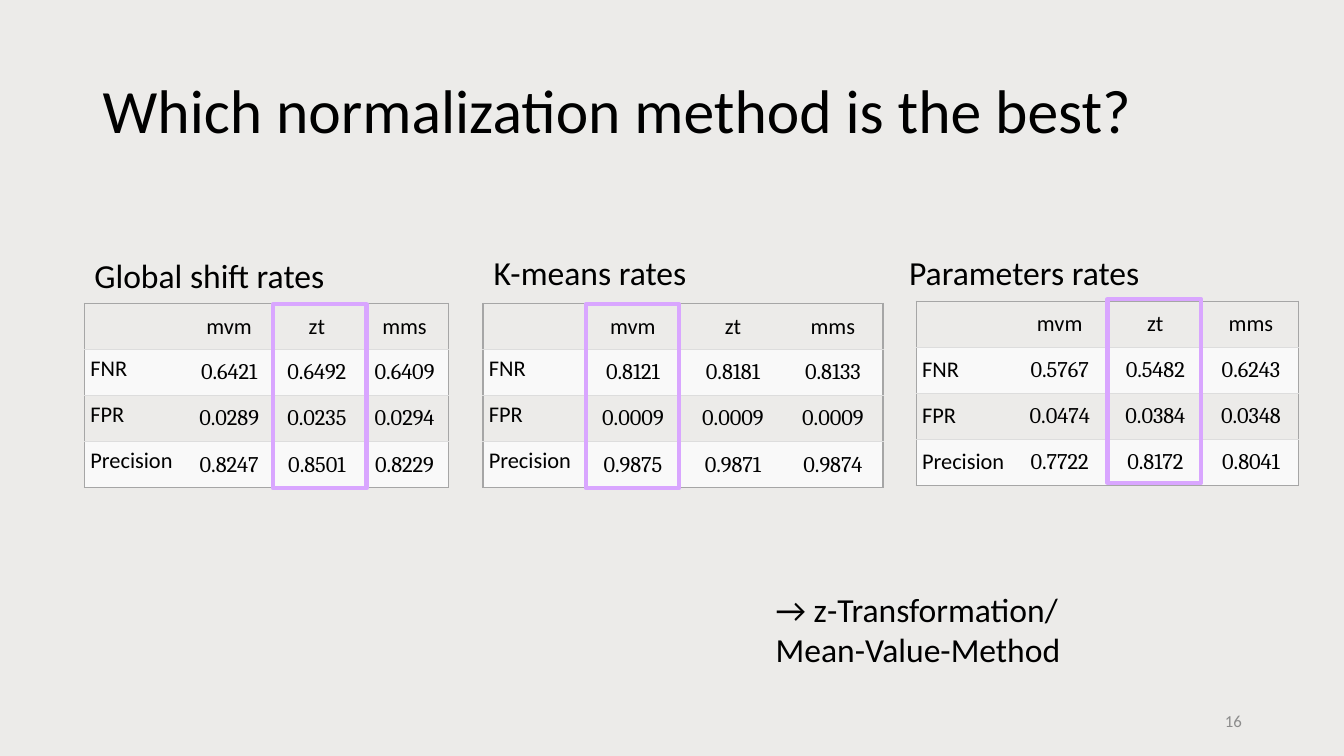
from dataclasses import dataclass

from lxml import etree
from pptx import Presentation
from pptx.dml.color import RGBColor
from pptx.enum import shapes, text
from pptx.oxml import ns
from pptx.util import Cm, Pt


@dataclass(frozen=True)
class Theme:
    background: str = "ECEBE9"
    ink: str = "000000"
    muted: str = "8C8C8C"
    band: str = "F9F9F9"
    frame: str = "A6A6A6"
    rule: str = "DDDDDD"
    accent: str = "D9A6FF"
    sans: str = "Calibri"
    serif: str = "Cambria"
    title: int = 44
    body: int = 24
    cell: int = 16
    number: int = 12


def write(tf, content, size, font, color, align=text.PP_ALIGN.LEFT,
          anchor=text.MSO_ANCHOR.TOP, spacing=None):
    tf.word_wrap = True
    tf.vertical_anchor = anchor
    p = tf.paragraphs[0]
    p.alignment = align
    p.line_spacing = spacing
    r = p.add_run()
    r.text = content
    r.font.size = Pt(size)
    r.font.name = font
    r.font.color.rgb = RGBColor.from_string(color)


class SlideBuilder:
    def __init__(self, s, theme):
        self.s = s
        self.theme = theme
        fill = s.background.fill
        fill.solid()
        fill.fore_color.rgb = RGBColor.from_string(theme.background)

    def label(self, content, x, y, w, h, size=None, color=None, **fmt):
        sp = self.s.shapes.add_textbox(Cm(x), Cm(y), Cm(w), Cm(h))
        write(sp.text_frame, content, size or self.theme.body,
              self.theme.sans, color or self.theme.ink, **fmt)

    def highlight(self, x, y, w, h):
        sp = self.s.shapes.add_shape(shapes.MSO_SHAPE.RECTANGLE,
                                     Cm(x), Cm(y), Cm(w), Cm(h))
        sp.shadow.inherit = False
        sp.fill.background()
        sp.line.color.rgb = RGBColor.from_string(self.theme.accent)
        sp.line.width = Pt(3)

    def border(self, cell, side, color, width):
        ln = etree.SubElement(cell._tc.get_or_add_tcPr(), ns.qn(f"a:ln{side}"))
        if color is None:
            etree.SubElement(ln, ns.qn("a:noFill"))
            return
        ln.set("w", str(Pt(width)))
        fill = etree.SubElement(ln, ns.qn("a:solidFill"))
        etree.SubElement(fill, ns.qn("a:srgbClr")).set("val", color)

    def borders(self, cell, row, col, last_row, last_col):
        frame, rule = (self.theme.frame, 1), (self.theme.rule, 0.5)
        none = (None, 0)
        self.border(cell, "L", *(frame if col == 0 else none))
        self.border(cell, "R", *(frame if col == last_col else none))
        self.border(cell, "T", *(frame if row == 0 else rule))
        self.border(cell, "B", *(frame if row == last_row else rule))

    def cell_text(self, cell, content, row, col, label_anchor):
        numeric = row > 0 and col > 0
        side, end = (0.18, 0) if numeric else (0.15, 0.15)
        cell.margin_left = cell.margin_right = Cm(side)
        cell.margin_top = cell.margin_bottom = Cm(end)
        cell.vertical_anchor = text.MSO_ANCHOR.MIDDLE if col else label_anchor
        if content:
            p = cell.text_frame.paragraphs[0]
            p.alignment = text.PP_ALIGN.CENTER if col else text.PP_ALIGN.LEFT
            r = p.add_run()
            r.text = content
            r.font.size = Pt(self.theme.cell)
            r.font.name = self.theme.serif if numeric else self.theme.sans
            r.font.color.rgb = RGBColor.from_string(self.theme.ink)

    def table(self, rows, x, y, widths, row_h, label_anchor):
        gf = self.s.shapes.add_table(len(rows), len(widths), Cm(x), Cm(y),
                                     Cm(sum(widths)), Cm(row_h * len(rows)))
        tbl = gf.table
        tbl.first_row = tbl.horz_banding = False
        for column, w in zip(tbl.columns, widths):
            column.width = Cm(w)
        for i, values in enumerate(rows):
            tbl.rows[i].height = Cm(row_h)
            for j, value in enumerate(values):
                cell = tbl.cell(i, j)
                self.cell_text(cell, value, i, j, label_anchor)
                self.borders(cell, i, j, len(rows) - 1, len(widths) - 1)
                if i % 2:
                    cell.fill.solid()
                    cell.fill.fore_color.rgb = RGBColor.from_string(self.theme.band)
                else:
                    cell.fill.background()


METHODS = ["", "mvm", "zt", "mms"]
METRICS = ["FNR", "FPR", "Precision"]
TOP, MIDDLE = text.MSO_ANCHOR.TOP, text.MSO_ANCHOR.MIDDLE
RATES = [
    dict(name="Global shift rates", name_at=(2.13, 6.3), at=(2.13, 7.65),
         widths=[2.54] + [2.21] * 3, best_at=(6.88, 7.67), anchor=TOP,
         values=["0.6421 0.6492 0.6409", "0.0289 0.0235 0.0294",
                 "0.8247 0.8501 0.8229"]),
    dict(name="K-means rates", name_at=(12.19, 6.22), at=(12.17, 7.65),
         widths=[2.52] * 4, best_at=(14.76, 7.67), anchor=TOP,
         values=["0.8121 0.8181 0.8133", "0.0009 0.0009 0.0009",
                 "0.9875 0.9871 0.9874"]),
    dict(name="Parameters rates", name_at=(22.66, 6.22), at=(23.09, 7.59),
         widths=[2.41] * 4, best_at=(27.91, 7.54), anchor=MIDDLE,
         values=["0.5767 0.5482 0.6243", "0.0474 0.0384 0.0348",
                 "0.7722 0.8172 0.8041"]),
]


def main():
    prs = Presentation()
    prs.slide_width, prs.slide_height = Cm(33.87), Cm(19.05)
    theme = Theme()
    b = SlideBuilder(prs.slides.add_slide(prs.slide_layouts[6]), theme)
    b.label("Which normalization method is the best?", 2.34, 1.02, 29.21, 3.68,
            size=theme.title, anchor=MIDDLE, spacing=0.9)
    for rate in RATES:
        rows = [METHODS] + [[metric, *line.split()]
                            for metric, line in zip(METRICS, rate["values"])]
        b.label(rate["name"], *rate["name_at"], 10.06, 1.28)
        b.table(rows, *rate["at"], rate["widths"], 1.16, rate["anchor"])
        b.highlight(*rate["best_at"], 2.36, 4.63)
    b.label("→ z-Transformation/ Mean-Value-Method", 19.3, 14.71, 9.42, 2.31)
    b.label("16", 23.93, 17.65, 7.62, 1.01, size=theme.number,
            color=theme.muted, align=text.PP_ALIGN.RIGHT, anchor=MIDDLE)
    prs.save("out.pptx")


if __name__ == "__main__":
    main()
